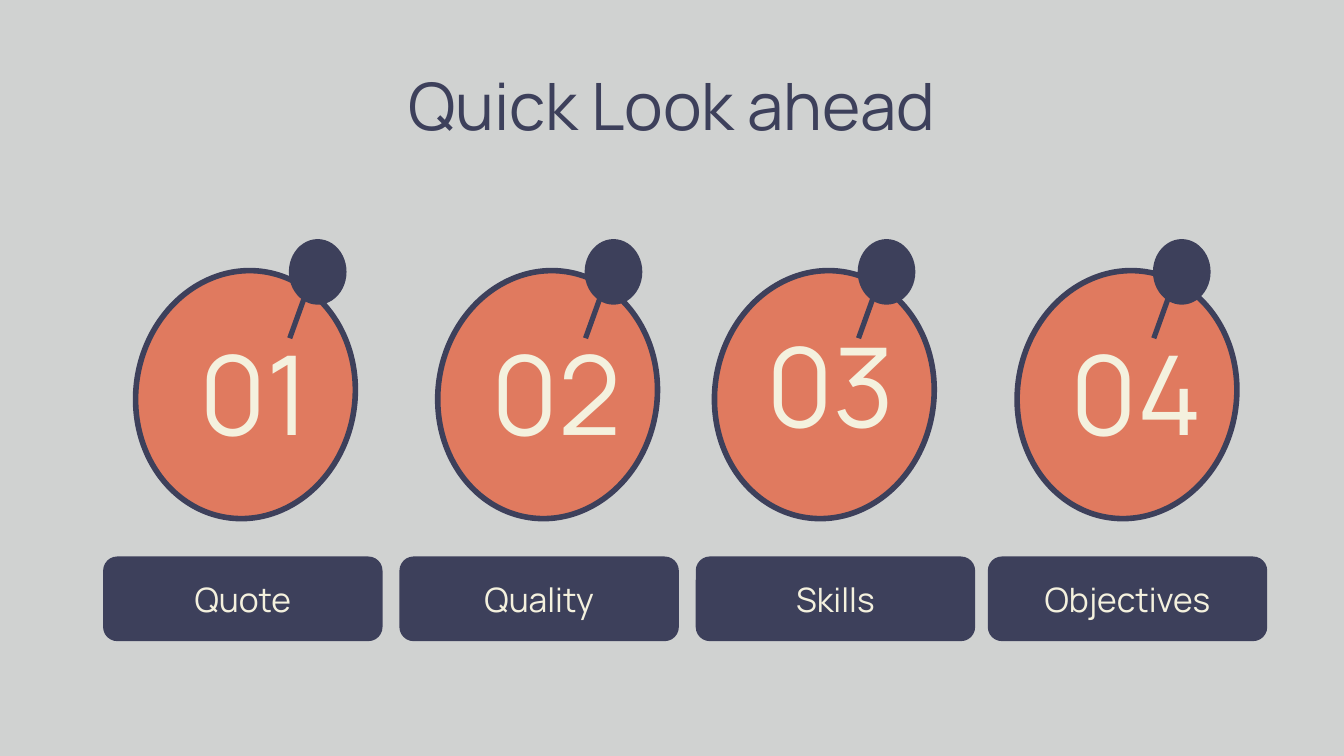
from pptx import Presentation
from pptx.dml.color import RGBColor
from pptx.enum.shapes import MSO_SHAPE as SHAPE
from pptx.enum.text import MSO_ANCHOR as ANCHOR, MSO_AUTO_SIZE as AUTO, PP_ALIGN as ALIGN
from pptx.util import Cm, Pt

GREY = RGBColor(0xD0, 0xD2, 0xD1)
NAVY = RGBColor(0x3D, 0x40, 0x5B)
CORAL = RGBColor(0xE0, 0x7A, 0x5F)
CREAM = RGBColor(0xF4, 0xF1, 0xDE)
FONT = "Manrope"

DISC_TOP, CARD_TOP = 5.11, 10.52
# number, label, disc left, then offsets from the disc: number (x, y), pin x, card x
STEPS = [
    ("01", "Quote", 2.57, (-0.33, -0.26), 2.89, -0.62),
    ("02", "Quality", 8.28, (-0.33, -0.26), 2.77, -0.73),
    ("03", "Skills", 13.51, (-0.38, -0.41), 2.70, -0.36),
    ("04", "Objectives", 19.23, (-0.31, -0.26), 2.56, -0.56),
]


def write(tf, text, size, color, anchor=ANCHOR.MIDDLE):
    """Fill a text frame with one centred line and no insets."""
    frame = dict(margin_left=0, margin_top=0, margin_right=0, margin_bottom=0,
                 word_wrap=True, auto_size=AUTO.NONE, vertical_anchor=anchor)
    for name, value in frame.items():
        setattr(tf, name, value)
    p = tf.paragraphs[0]
    p.alignment = ALIGN.CENTER
    r = p.add_run()
    r.text = text
    for name, value in dict(name=FONT, size=Pt(size), bold=False).items():
        setattr(r.font, name, value)
    r.font.color.rgb = color


def add_solid(shapes, kind, x, y, w, h, fill, rotation=0):
    s = shapes.add_shape(kind, Cm(x), Cm(y), Cm(w), Cm(h))
    s.shadow.inherit = False
    s.fill.solid()
    s.fill.fore_color.rgb = fill
    s.line.fill.background()
    s.rotation = rotation
    return s


def add_title(slide, x, y, w, h):
    sp = slide.shapes.title
    for name, value in dict(left=x, top=y, width=w, height=h).items():
        setattr(sp, name, Cm(value))
    write(sp.text_frame, "Quick Look ahead", 35, NAVY, ANCHOR.TOP)


def add_disc(slide, x, y):
    disc = add_solid(slide.shapes, SHAPE.OVAL, x, y, 4.14, 4.7, CORAL, 8.7)
    disc.line.color.rgb = NAVY
    disc.line.width = Pt(3)


def add_number(slide, x, y, number):
    box = slide.shapes.add_textbox(Cm(x), Cm(y), Cm(5.13), Cm(5.11))
    write(box.text_frame, number, 59, CREAM)


def add_pin(slide, x, y):
    pin = slide.shapes.add_group_shape()
    add_solid(pin.shapes, SHAPE.RECTANGLE, x + 0.28, y + 0.08, 0.1, 1.85, NAVY, 19.8)
    add_solid(pin.shapes, SHAPE.OVAL, x, y, 1.09, 1.24, NAVY)


def add_card(slide, x, y, label):
    card = add_solid(slide.shapes, SHAPE.ROUNDED_RECTANGLE, x, y, 5.28, 1.6, NAVY)
    write(card.text_frame, label, 18, CREAM)


def add_step(slide, x, y, number, label, number_at, pin_dx, card_dx):
    add_disc(slide, x, y)
    add_number(slide, x + number_at[0], y + number_at[1], number)
    add_pin(slide, x + pin_dx, y - 0.59)
    add_card(slide, x + card_dx, CARD_TOP, label)


def main():
    prs = Presentation()
    prs.slide_width, prs.slide_height = Cm(25.4), Cm(14.29)
    slide = prs.slides.add_slide(prs.slide_layouts[5])
    slide.background.fill.solid()
    slide.background.fill.fore_color.rgb = GREY
    add_title(slide, 1.98, 1.24, 21.44, 1.6)
    for number, label, x, number_at, pin_dx, card_dx in STEPS:
        add_step(slide, x, DISC_TOP, number, label, number_at, pin_dx, card_dx)
    prs.save("out.pptx")


if __name__ == "__main__":
    main()
